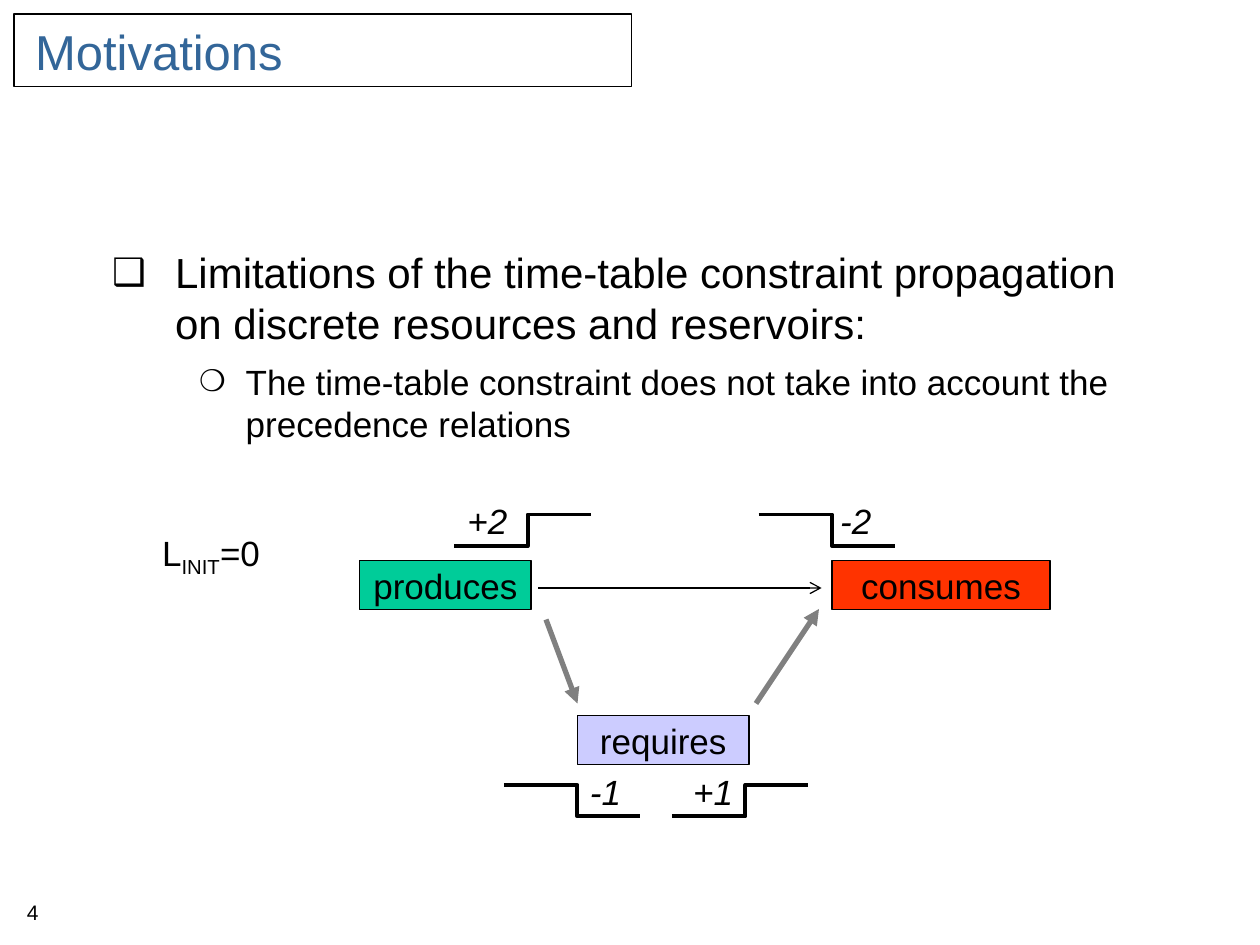
from dataclasses import dataclass
from typing import Optional

from lxml import etree
from pptx import Presentation
from pptx.dml.color import RGBColor
from pptx.enum import shapes, text
from pptx.oxml.ns import qn
from pptx.util import Pt


@dataclass(frozen=True)
class Theme:
    font: str = "Arial"
    ink: str = "000000"
    title_ink: str = "336699"
    produce: str = "00CC99"
    consume: str = "FF3300"
    require: str = "CCCCFF"
    causal: str = "808080"
    title: float = 28
    body: float = 24
    label: float = 20
    number: float = 12
    thin: float = 0.75
    step: float = 2.25
    thick: float = 3


THEME = Theme()
STEP_WIDTH, STEP_RISER, STEP_HEIGHT = 78, 42, 18


@dataclass(frozen=True)
class Box:
    left: float
    top: float
    width: float
    height: float
    fill: Optional[str] = None
    label: str = ""


@dataclass(frozen=True)
class Label:
    words: str
    left: float
    top: float
    width: float
    height: float
    size: float
    color: str = THEME.ink
    italic: bool = False
    centered: bool = False
    wrap: bool = False


@dataclass(frozen=True)
class Step:
    left: float
    top: float
    rising: bool


@dataclass(frozen=True)
class Arrow:
    start: tuple[float, float]
    end: tuple[float, float]
    color: str
    width: float
    head: str


@dataclass(frozen=True)
class Bullet:
    words: str
    level: int
    mark: str
    mark_size: int
    margin: float
    hanging: float
    size: float
    before: float
    after: float


def rgb(value: str) -> RGBColor:
    return RGBColor.from_string(value)


def apply(target, **values) -> None:
    for name, value in values.items():
        setattr(target, name, value)


def add_span(para, words: str, size: float, color: str = THEME.ink, italic: bool = False):
    span = para.add_run()
    span.text = words
    apply(span.font, name=THEME.font, size=Pt(size), italic=italic)
    span.font.color.rgb = rgb(color)
    return span


def style_line(line, color: str, width: float) -> None:
    line.color.rgb = rgb(color)
    line.width = Pt(width)


def draw_box(page, box: Box) -> None:
    shape = page.shapes.add_shape(shapes.MSO_SHAPE.RECTANGLE, Pt(box.left), Pt(box.top),
                                  Pt(box.width), Pt(box.height))
    shape.shadow.inherit = False
    style_line(shape.line, THEME.ink, THEME.thin)
    if box.fill:
        shape.fill.solid()
        shape.fill.fore_color.rgb = rgb(box.fill)
    else:
        shape.fill.background()
    if box.label:
        apply(shape.text_frame, word_wrap=False, vertical_anchor=text.MSO_ANCHOR.MIDDLE)
        para = shape.text_frame.paragraphs[0]
        para.alignment = text.PP_ALIGN.CENTER
        add_span(para, box.label, THEME.label)


def draw_label(page, label: Label):
    box = page.shapes.add_textbox(Pt(label.left), Pt(label.top), Pt(label.width), Pt(label.height))
    fit = text.MSO_AUTO_SIZE.NONE if label.wrap else text.MSO_AUTO_SIZE.SHAPE_TO_FIT_TEXT
    apply(box.text_frame, word_wrap=label.wrap, auto_size=fit)
    para = box.text_frame.paragraphs[0]
    para.alignment = text.PP_ALIGN.CENTER if label.centered else text.PP_ALIGN.LEFT
    add_span(para, label.words, label.size, label.color, label.italic)
    return para


def draw_step(page, step: Step) -> None:
    low, high = step.top + STEP_HEIGHT, step.top
    first, last = (low, high) if step.rising else (high, low)
    riser = step.left + STEP_RISER
    builder = page.shapes.build_freeform(Pt(step.left), Pt(first))
    points = [(riser, first), (riser, last), (step.left + STEP_WIDTH, last)]
    builder.add_line_segments([(Pt(x), Pt(y)) for x, y in points], close=False)
    shape = builder.convert_to_shape()
    shape.shadow.inherit = False
    shape.fill.background()
    style_line(shape.line, THEME.ink, THEME.step)


def draw_arrow(page, arrow: Arrow) -> None:
    line = page.shapes.add_connector(shapes.MSO_CONNECTOR.STRAIGHT,
                                     *(Pt(v) for v in arrow.start + arrow.end))
    style_line(line.line, arrow.color, arrow.width)
    etree.SubElement(line._element.spPr.find(qn("a:ln")), qn("a:tailEnd"), type=arrow.head)
    etree.SubElement(line._element.spPr, qn("a:effectLst"))


def draw_bullets(page, area: Box, bullets: list[Bullet]) -> None:
    box = page.shapes.add_textbox(Pt(area.left), Pt(area.top), Pt(area.width), Pt(area.height))
    box.text_frame.word_wrap = True
    for index, bullet in enumerate(bullets):
        para = box.text_frame.add_paragraph() if index else box.text_frame.paragraphs[0]
        apply(para, level=bullet.level, space_after=Pt(bullet.after))
        if index:
            para.space_before = Pt(bullet.before)
        props = para._p.get_or_add_pPr()
        props.set("marL", str(Pt(bullet.margin)))
        props.set("indent", str(-Pt(bullet.hanging)))
        color = etree.SubElement(props, qn("a:buClr"))
        etree.SubElement(color, qn("a:srgbClr"), val=THEME.ink)
        etree.SubElement(props, qn("a:buSzPct"), val=str(bullet.mark_size * 1000))
        etree.SubElement(props, qn("a:buFont"), typeface=THEME.font)
        etree.SubElement(props, qn("a:buChar"), char=bullet.mark)
        add_span(para, bullet.words, bullet.size)


def main() -> None:
    deck = Presentation()
    apply(deck, slide_width=Pt(720), slide_height=Pt(540))
    page = deck.slides.add_slide(deck.slide_layouts[6])

    # Title
    draw_box(page, Box(8, 8, 353, 41.5))
    draw_label(page, Label("Motivations", 13, 8.5, 160, 41, THEME.title, THEME.title_ink))

    # Body
    draw_bullets(page, Box(57, 137.5, 612, 131), [
        Bullet("Limitations of the time-table constraint propagation on discrete resources and reservoirs:",
               0, "❑", 90, 36, 36, THEME.body, 0, 6),
        Bullet("The time-table constraint does not take into account the precedence relations",
               1, "❍", 85, 76.3, 26.6, THEME.label, 1.2, 0),
    ])

    # Activities
    for box in (Box(330, 409, 98, 28, THEME.require, "requires"),
                Box(205.5, 320.5, 98, 28, THEME.produce, "produces"),
                Box(475.5, 320.5, 124.5, 28, THEME.consume, "consumes")):
        draw_box(page, box)

    # Level changes
    for step in (Step(288, 448.5, False), Step(384, 448.5, True),
                 Step(259.5, 294, True), Step(433.5, 294, False)):
        draw_step(page, step)
    for words, left, top in (("+1", 389, 437), ("-1", 330, 437), ("+2", 260, 282), ("-2", 473, 282)):
        draw_label(page, Label(words, left, top, 40, 31.5, THEME.label, italic=True))

    # Initial level
    para = draw_label(page, Label("L", 85.5, 300, 74, 34.5, THEME.label))
    subscript = add_span(para, "INIT", THEME.label)
    subscript.font._element.set("baseline", "-25000")
    add_span(para, "=0", THEME.label)

    # Precedence arrows
    for arrow in (Arrow((307.5, 336), (469.5, 336), THEME.ink, THEME.thin, "arrow"),
                  Arrow((312, 354), (330, 402), THEME.causal, THEME.thick, "triangle"),
                  Arrow((432, 402), (468, 348), THEME.causal, THEME.thick, "triangle")):
        draw_arrow(page, arrow)

    # Page number
    draw_label(page, Label("4", 8, 510.5, 21.5, 24, THEME.number, centered=True, wrap=True))
    deck.save("out.pptx")


if __name__ == "__main__":
    main()
